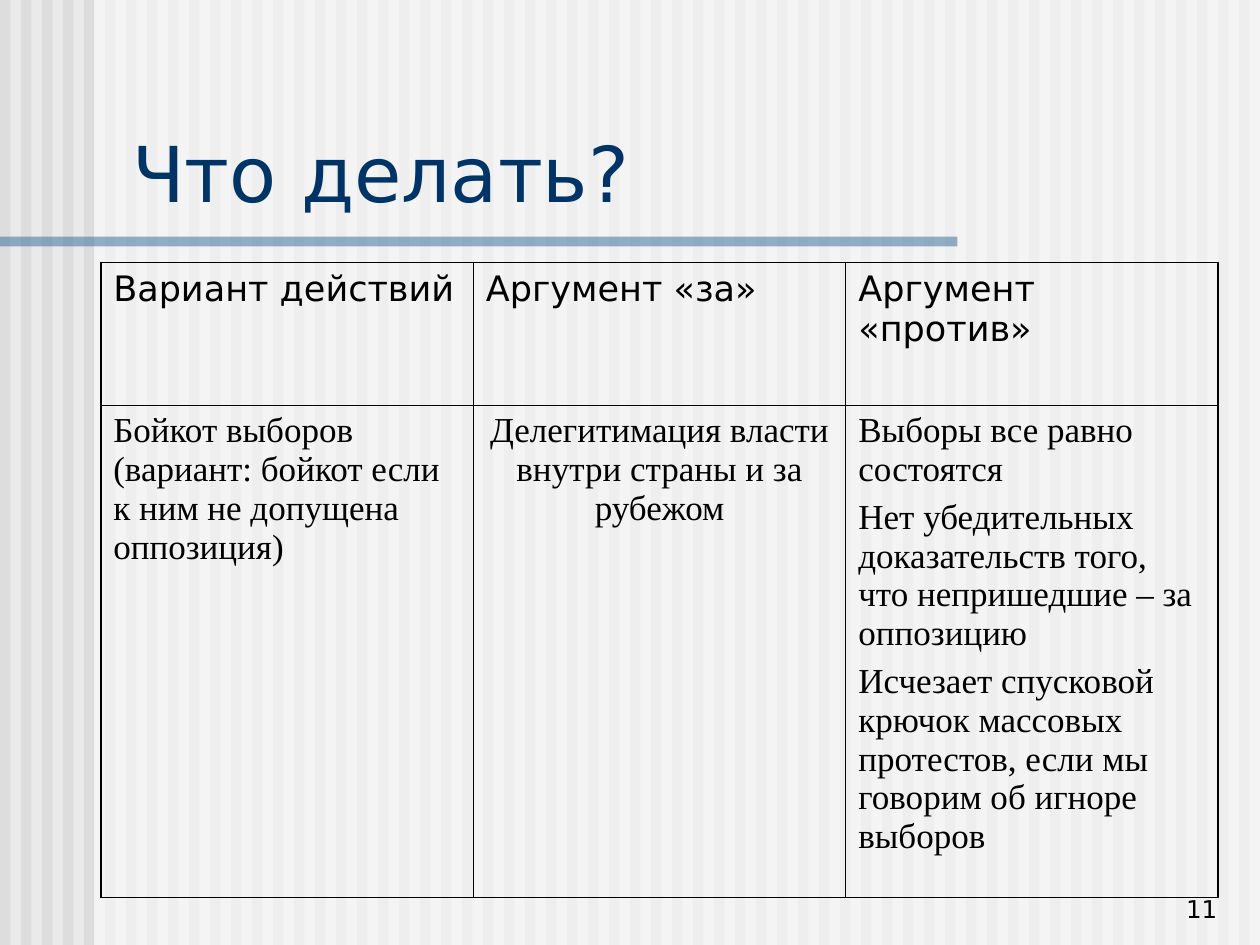
import pptx
import pptx.util
from lxml import etree
from pptx.dml.color import RGBColor
from pptx.enum.shapes import MSO_SHAPE
from pptx.enum.text import MSO_ANCHOR, MSO_AUTO_SIZE, PP_ALIGN
from pptx.oxml.ns import qn
from pptx.util import Cm

TITLE = "Что делать?"
PAGE_NUMBER = "11"
HEADERS = ["Вариант действий", "Аргумент «за»", "Аргумент «против»"]
OPTION = ["Бойкот выборов (вариант: бойкот если к ним не допущена оппозиция)"]
PROS = ["Делегитимация власти внутри страны и за рубежом"]
CONS = [
    "Выборы все равно состоятся",
    "Нет убедительных доказательств того, что непришедшие – за оппозицию",
    "Исчезает спусковой крючок массовых протестов, если мы говорим об игноре выборов",
]
ROWS = [[[header] for header in HEADERS], [OPTION, PROS, CONS]]
ROW_FONTS = ["DejaVu Sans", "Times New Roman"]
ROW_HEIGHTS = [2.88, 9.92]
COLUMN_WIDTH = 7.51
OUTER_LINE, INNER_LINE = 1.08, 0.45

SLIDE_WIDTH, SLIDE_HEIGHT = 25.4, 19.05
STRIPE_COUNT = 60
STRIPE_PITCH = SLIDE_WIDTH / STRIPE_COUNT


def color(code):
    return RGBColor.from_string(code)


def add_band(group, left, top, width, height, fill, opacity=100):
    band = group.shapes.add_shape(
        MSO_SHAPE.RECTANGLE, Cm(left), Cm(top), Cm(width), Cm(height))
    band.shadow.inherit = False
    band.fill.solid()
    band.fill.fore_color.rgb = color(fill)
    band.line.fill.background()
    if opacity < 100:
        tint = band._element.spPr.find(".//" + qn("a:srgbClr"))
        etree.SubElement(tint, qn("a:alpha"), val=str(opacity * 1000))


def write(frame, lines, font, size, fill="000000", align=PP_ALIGN.LEFT, gap=0):
    frame.text = "\n".join(lines)
    frame.word_wrap = True
    for index, para in enumerate(frame.paragraphs):
        para.alignment = align
        if index:
            para.space_before = pptx.util.Pt(gap)
        for span in para.runs:
            span.font.name = font
            span.font.size = pptx.util.Pt(size)
            span.font.color.rgb = color(fill)


def set_borders(cell, widths):
    """Draw black borders; widths in points are left, right, top, bottom."""
    properties = cell._tc.get_or_add_tcPr()
    for index, (side, width) in enumerate(zip("LRTB", widths)):
        line = etree.Element(qn("a:ln" + side), w=str(pptx.util.Pt(width)))
        fill = etree.SubElement(line, qn("a:solidFill"))
        etree.SubElement(fill, qn("a:srgbClr"), val="000000")
        properties.insert(index, line)


def add_background(page):
    page.background.fill.solid()
    page.background.fill.fore_color.rgb = color("EAEAEA")
    group = page.shapes.add_group_shape()
    for index in range(STRIPE_COUNT):
        add_band(group, index * STRIPE_PITCH, 0,
                 STRIPE_PITCH / 2, SLIDE_HEIGHT, "DDDDDD")
    add_band(group, 1.9, 0, SLIDE_WIDTH - 1.9, SLIDE_HEIGHT, "FFFFFF", 50)
    add_band(group, 0, 4.77, 19.3, 0.2, "336699", 50)


def add_title(page):
    title = page.shapes.title
    title.left, title.top, title.width, title.height = (
        Cm(2.41), Cm(2.38), Cm(22.68), Cm(2.14))
    title.text_frame.auto_size = MSO_AUTO_SIZE.NONE
    title.text_frame.vertical_anchor = MSO_ANCHOR.BOTTOM
    write(title.text_frame, [TITLE], "DejaVu Sans", 44, "003366")
    page.shapes._spTree.append(title._element)  # in front of the background


def add_arguments(page):
    row_count, column_count = len(ROWS), len(HEADERS)
    table = page.shapes.add_table(
        row_count, column_count, Cm(2.03), Cm(5.29),
        Cm(COLUMN_WIDTH * column_count), Cm(sum(ROW_HEIGHTS))).table
    table.first_row = table.horz_banding = False
    for column in table.columns:
        column.width = Cm(COLUMN_WIDTH)
    for r, cells in enumerate(ROWS):
        table.rows[r].height = Cm(ROW_HEIGHTS[r])
        for c, lines in enumerate(cells):
            cell = table.cell(r, c)
            cell.fill.background()
            align = PP_ALIGN.CENTER if lines is PROS else PP_ALIGN.LEFT
            write(cell.text_frame, lines, ROW_FONTS[r], 20, align=align, gap=5)
            on_edge = [c == 0, c == column_count - 1, r == 0, r == row_count - 1]
            set_borders(cell, [OUTER_LINE if edge else INNER_LINE for edge in on_edge])


def add_page_number(page):
    box = page.shapes.add_textbox(Cm(19.51), Cm(17.48), Cm(5.28), Cm(1.27))
    box.text_frame.vertical_anchor = MSO_ANCHOR.BOTTOM
    write(box.text_frame, [PAGE_NUMBER], "DejaVu Sans", 14, align=PP_ALIGN.RIGHT)


def main():
    deck = pptx.Presentation()
    deck.slide_width, deck.slide_height = Cm(SLIDE_WIDTH), Cm(SLIDE_HEIGHT)
    page = deck.slides.add_slide(deck.slide_layouts.get_by_name("Title Only"))
    add_background(page)
    add_title(page)
    add_arguments(page)
    add_page_number(page)
    deck.save("out.pptx")


if __name__ == "__main__":
    main()
